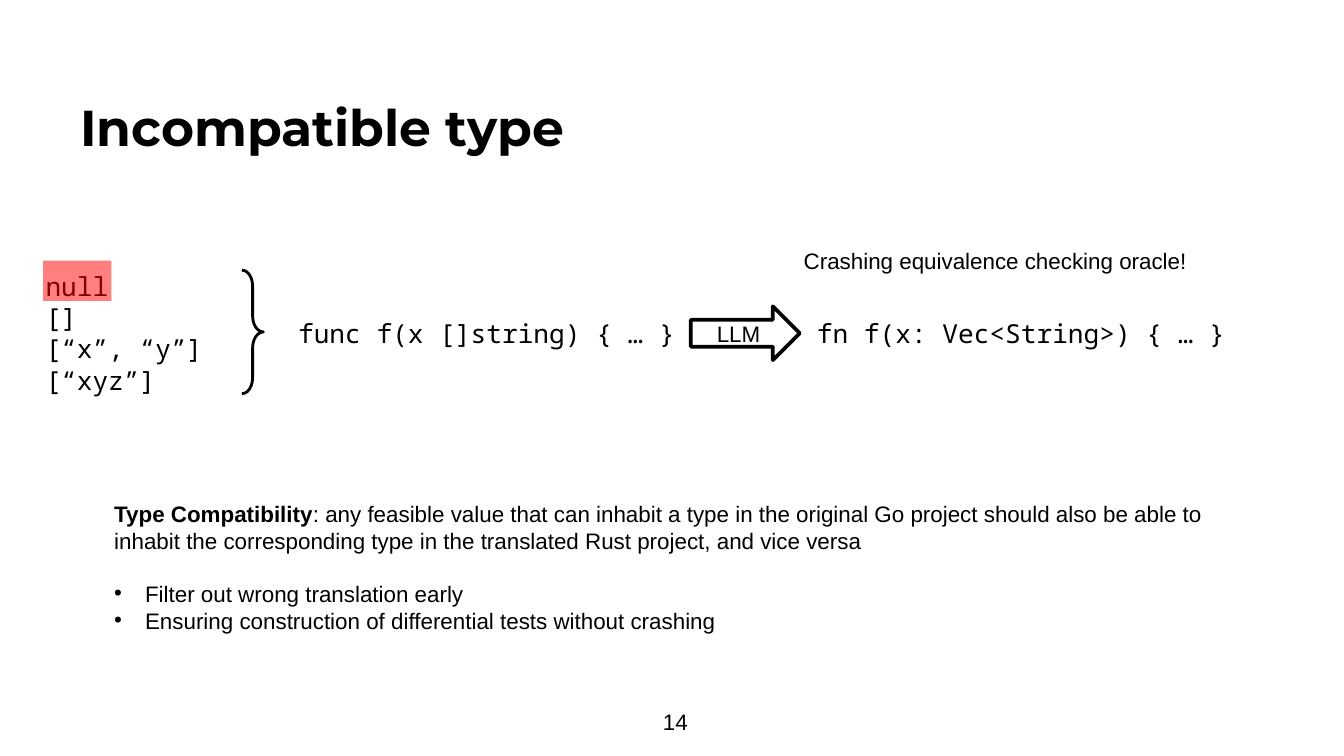
from dataclasses import dataclass
from lxml.etree import SubElement
from pptx import Presentation
from pptx.dml.color import RGBColor as RGB
from pptx.enum.shapes import MSO_SHAPE as SHAPE
from pptx.enum.text import MSO_ANCHOR as ANCHOR, PP_ALIGN as ALIGN
from pptx.oxml.ns import qn
from pptx.util import Inches, Pt


@dataclass(frozen=True)
class Theme:
    """Colours, fonts and type sizes of the slide."""
    ink: RGB = RGB(0, 0, 0)
    paper: RGB = RGB(255, 255, 255)
    alert: RGB = RGB(255, 0, 0)
    heading: str = "Montserrat"
    body: str = "Arial"
    code: str = "Noto Sans Mono"
    heading_size: int = 27
    body_size: int = 12
    code_size: int = 14


T = Theme()


def write(p, text, font=T.body, size=T.body_size, bold=False):
    """Add a formatted run to a paragraph."""
    r = p.add_run()
    r.text = text
    r.font.name, r.font.size, r.font.bold = font, Pt(size), bold
    r.font.color.rgb = T.ink


def add_text(s, box, lines=(), inset=0.1, anchor=ANCHOR.TOP, align=ALIGN.LEFT,
             spacing=1.0, **font):
    """Add a text box with one paragraph per line and return its frame."""
    tf = s.shapes.add_textbox(*map(Inches, box)).text_frame
    tf.word_wrap, tf.vertical_anchor = True, anchor
    tf.margin_left = tf.margin_right = Inches(inset)
    for i, line in enumerate(lines):
        p = tf.add_paragraph() if i else tf.paragraphs[0]
        p.alignment, p.line_spacing = align, spacing
        write(p, line, **font)
    return tf


def add_code(s, box, *lines):
    """Add lines of code."""
    add_text(s, box, lines, font=T.code, size=T.code_size)


def add_shape(s, kind, box, fill=None, line=None):
    """Add a preset shape with an optional fill colour and line width."""
    sp = s.shapes.add_shape(kind, *map(Inches, box))
    sp.shadow.inherit = False
    if fill is None:
        sp.fill.background()
    else:
        sp.fill.solid()
        sp.fill.fore_color.rgb = fill
    if line is None:
        sp.line.fill.background()
    else:
        sp.line.color.rgb, sp.line.width = T.ink, Pt(line)
    return sp


def add_highlight(s, box, opacity):
    """Add a translucent rectangle over text."""
    sp = add_shape(s, SHAPE.RECTANGLE, box, fill=T.alert)
    color = next(sp.fill._xPr.iter(qn("a:srgbClr")))
    SubElement(color, qn("a:alpha")).set("val", str(int(opacity * 100000)))


def add_bullet(tf, text, indent=0.23, before=0):
    """Append a bulleted paragraph."""
    p = tf.add_paragraph()
    pPr = p._p.get_or_add_pPr()
    pPr.set("marL", str(Inches(indent)))
    pPr.set("indent", str(-Inches(indent)))
    SubElement(pPr, qn("a:buFont")).set("typeface", T.body)
    SubElement(pPr, qn("a:buChar")).set("char", "•")
    p.space_before = Pt(before)
    write(p, text)


def add_definition(s, box, term, meaning, bullets):
    """Add a defined term followed by bullets."""
    tf = add_text(s, box, inset=0)
    p = tf.paragraphs[0]
    write(p, term, bold=True)
    write(p, meaning)
    for i, text in enumerate(bullets):
        add_bullet(tf, text, before=0 if i else 14)


def add_arrow(s, box, label):
    """Add a labelled block arrow."""
    sp = add_shape(s, SHAPE.RIGHT_ARROW, box, fill=T.paper, line=2)
    tf = sp.text_frame
    tf.vertical_anchor = ANCHOR.MIDDLE
    p = tf.paragraphs[0]
    p.alignment = ALIGN.CENTER
    write(p, label)


def main():
    """Build and save the slide."""
    prs = Presentation()
    prs.slide_width = Inches(10)
    prs.slide_height = prs.slide_width * 9 // 16
    s = prs.slides.add_slide(prs.slide_layouts[6])
    add_text(s, (0.5, 0.75, 9, 0.44), ["Incompatible type"], anchor=ANCHOR.MIDDLE,
             spacing=0.9, font=T.heading, size=T.heading_size, bold=True)
    add_code(s, (0.24, 1.96, 1.51, 1.04), "null", "[]", "[“x”, “y”]", "[“xyz”]")
    add_highlight(s, (0.32, 1.94, 0.51, 0.3), opacity=0.5)
    brace = add_shape(s, SHAPE.RIGHT_BRACE, (1.8, 2.01, 0.16, 0.92), line=1.5)
    brace.adjustments[0] = 0.74
    add_code(s, (2.12, 2.31, 3.07, 0.34), "func f(x []string) { … }")
    add_arrow(s, (5.14, 2.28, 0.81, 0.4), "LLM")
    add_code(s, (5.98, 2.31, 3.29, 0.34), "fn f(x: Vec<String>) { … }")
    add_text(s, (5.98, 1.79, 3.11, 0.3), ["Crashing equivalence checking oracle!"], inset=0)
    add_definition(
        s, (0.85, 3.67, 8.23, 1.11), "Type Compatibility",
        ": any feasible value that can inhabit a type in the original Go project "
        "should also be able to inhabit the corresponding type in the translated "
        "Rust project, and vice versa",
        ["Filter out wrong translation early",
         "Ensuring construction of differential tests without crashing"])
    add_text(s, (4.73, 5.22, 0.59, 0.3), ["14"], anchor=ANCHOR.MIDDLE, align=ALIGN.CENTER)
    prs.save("out.pptx")


if __name__ == "__main__":
    main()
